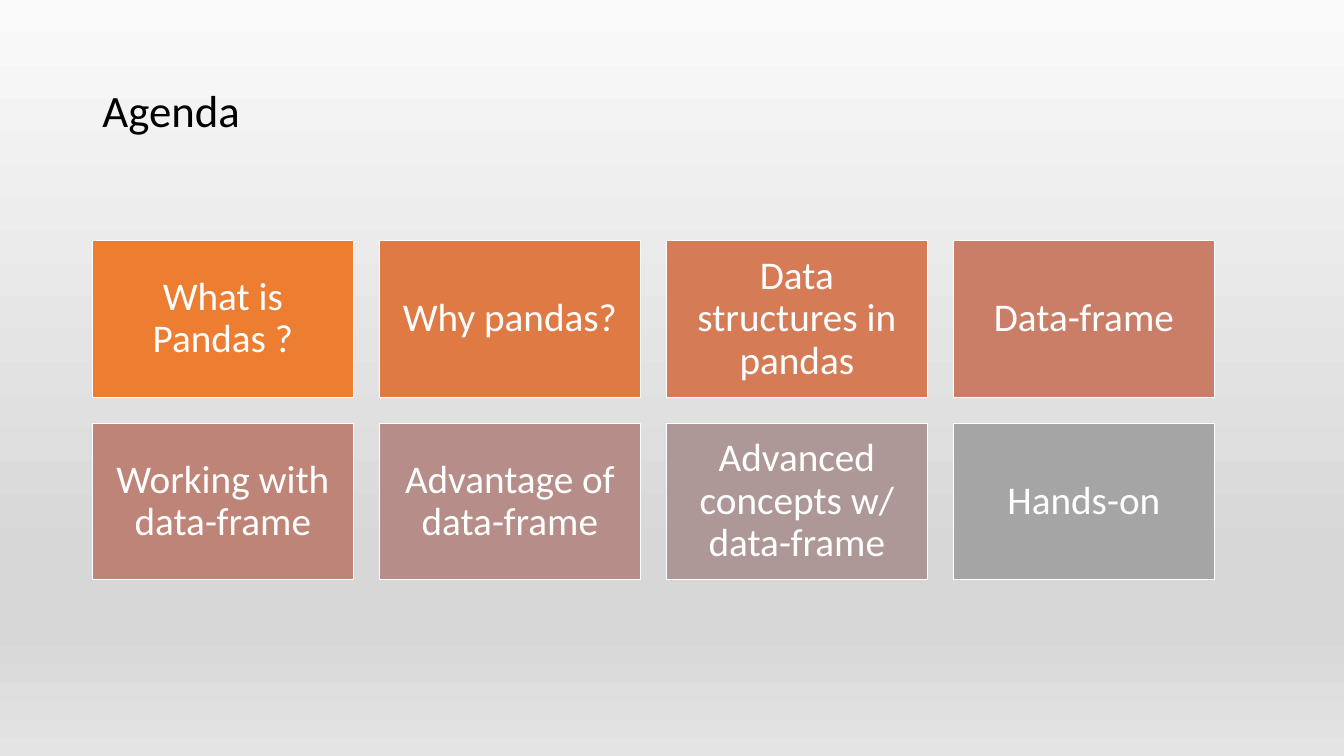
from dataclasses import dataclass

from lxml import etree
from pptx import Presentation
from pptx import util as u
from pptx.dml.color import RGBColor
from pptx.enum import shapes, text
from pptx.oxml.ns import qn


@dataclass(frozen=True)
class Theme:
    font: str = "Calibri"
    head: int = 32
    body: int = 28
    ink: str = "000000"
    white: str = "FFFFFF"
    back: tuple = ((0, "FAFAFA"), (74, "D7D7D7"), (83, "D7D7D7"), (100, "E4E4E4"))


TOPICS = [
    ("What is Pandas ?", "ED7D31"),
    ("Why pandas?", "E07A44"),
    ("Data structures in pandas", "D57B56"),
    ("Data-frame", "CA7E67"),
    ("Working with data-frame", "BF8478"),
    ("Advantage of data-frame", "B68D88"),
    ("Advanced concepts w/ data-frame", "AD9897"),
    ("Hands-on", "A5A5A5"),
]

# Topic grid, in points
COLS = 4
LEFT, TOP = 66, 172
WIDE, HIGH = 186.4, 111.8
GAP = 18.6


def write(frame, words, *, font, size, color, align, pad=None):
    """Fill a text frame with one formatted paragraph."""
    frame.word_wrap = True
    frame.auto_size = text.MSO_AUTO_SIZE.NONE
    frame.vertical_anchor = text.MSO_ANCHOR.MIDDLE
    if pad is not None:
        frame.margin_left = frame.margin_right = u.Pt(pad)
        frame.margin_top = frame.margin_bottom = u.Pt(pad)
    para = frame.paragraphs[0]
    para.alignment = align
    para.line_spacing = 0.9
    run = para.add_run()
    run.text = words
    run.font.name = font
    run.font.size = u.Pt(size)
    run.font.color.rgb = RGBColor.from_string(color)


class Deck:
    def __init__(self, theme):
        self.theme = theme
        self.file = Presentation()
        self.file.slide_width = u.Pt(960)
        self.file.slide_height = u.Pt(540)
        self.slide = self.file.slides.add_slide(self.file.slide_layouts[5])

    def back(self):
        fill = self.slide.background.fill
        fill.gradient()
        fill.gradient_angle = 270
        # Four stops need XML
        stops = self.slide.element.find(".//" + qn("a:gsLst"))
        for old in list(stops):
            stops.remove(old)
        for place, color in self.theme.back:
            stop = etree.SubElement(stops, qn("a:gs"), pos=str(place * 1000))
            etree.SubElement(stop, qn("a:srgbClr"), val=color)

    def title(self, words, x, y, w, h):
        head = self.slide.shapes.title
        head.left, head.top = u.Pt(x), u.Pt(y)
        head.width, head.height = u.Pt(w), u.Pt(h)
        write(head.text_frame, words, font=self.theme.font, size=self.theme.head,
              color=self.theme.ink, align=text.PP_ALIGN.LEFT)

    def card(self, words, color, x, y, w, h):
        box = self.slide.shapes.add_shape(
            shapes.MSO_SHAPE.RECTANGLE, u.Pt(x), u.Pt(y), u.Pt(w), u.Pt(h))
        box.shadow.inherit = False
        box.fill.solid()
        box.fill.fore_color.rgb = RGBColor.from_string(color)
        box.line.color.rgb = RGBColor.from_string(self.theme.white)
        box.line.width = u.Pt(1)
        write(box.text_frame, words, font=self.theme.font, size=self.theme.body,
              color=self.theme.white, align=text.PP_ALIGN.CENTER, pad=8.4)


def main():
    deck = Deck(Theme())

    # Background and title
    deck.back()
    deck.title("Agenda", LEFT, 28.8, 828, 104.4)

    # Topic cards, row by row
    for i, (words, color) in enumerate(TOPICS):
        row, col = divmod(i, COLS)
        deck.card(words, color, LEFT + col * (WIDE + GAP),
                  TOP + row * (HIGH + GAP), WIDE, HIGH)

    deck.file.save("out.pptx")


if __name__ == "__main__":
    main()
